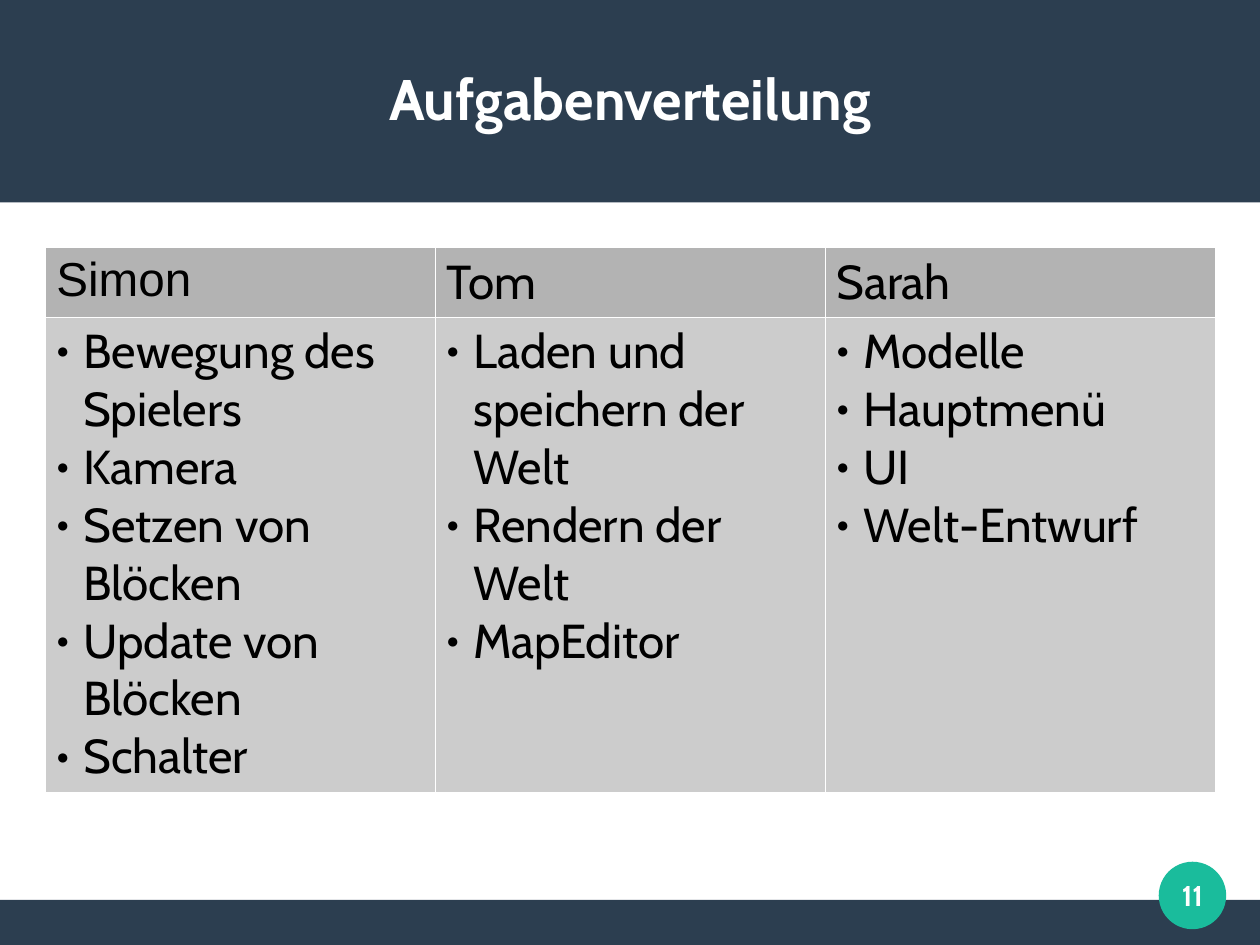
from dataclasses import dataclass

from lxml import etree
from pptx import Presentation
from pptx.dml.color import RGBColor
from pptx.enum.shapes import MSO_SHAPE
from pptx.enum.text import MSO_ANCHOR, PP_ALIGN
from pptx.oxml.ns import qn
from pptx.util import Cm, Pt

RECTANGLE, OVAL = MSO_SHAPE.RECTANGLE, MSO_SHAPE.OVAL
MIDDLE, CENTER = MSO_ANCHOR.MIDDLE, PP_ALIGN.CENTER

# Lengths are in centimetres.
SLIDE_W, SLIDE_H = 28, 21
MARGIN = 1
CONTENT_W = SLIDE_W - 2 * MARGIN
TABLE_TOP = 5.5
ROW_HEIGHTS = (1.45, 9.7)
BULLET_INDENT = 0.6
BORDER_PT = 0.06

NAVY, TEAL, WHITE, BLACK = "2C3E50", "1ABC9C", "FFFFFF", "000000"
HEADER_GREY, BODY_GREY = "B3B3B3", "CCCCCC"
TEXT_FONT = {"name": "Cabin", "size": Pt(30), "bold": False}


@dataclass
class Area:
    left: float
    top: float
    width: float
    height: float

    def emu(self) -> list[int]:
        return [Cm(v) for v in (self.left, self.top, self.width, self.height)]


@dataclass
class Panel:
    kind: int
    area: Area
    color: str


@dataclass
class Label:
    text: str
    area: Area
    size: float


@dataclass
class Member:
    name: str
    tasks: list[str]
    name_font: str = "Cabin"


PANELS = [
    Panel(RECTANGLE, Area(0, SLIDE_H - MARGIN, SLIDE_W, MARGIN), NAVY),
    Panel(RECTANGLE, Area(0, 0, SLIDE_W, 4.5), NAVY),
    Panel(OVAL, Area(25.75, 19.15, 1.5, 1.5), TEAL),
]
LABELS = [
    Label("Aufgabenverteilung", Area(MARGIN, 0.84, CONTENT_W, 2.66), 36),
    Label("11", Area(25.5, 18.9, 2, 2), 18),
]
MEMBERS = [
    Member("Simon", ["Bewegung des Spielers", "Kamera", "Setzen von Blöcken",
                     "Update von Blöcken", "Schalter"], "Arial"),
    Member("Tom", ["Laden und speichern der Welt", "Rendern der Welt", "MapEditor"]),
    Member("Sarah", ["Modelle", "Hauptmenü", "UI", "Welt-Entwurf"]),
]


def paint(target, color: str) -> None:
    """Give a fill or a font a solid colour."""
    if hasattr(target, "solid"):
        target.solid()
        target.fore_color.rgb = RGBColor.from_string(color)
    else:
        target.color.rgb = RGBColor.from_string(color)


def set_font(font, color: str, values: dict) -> None:
    for key, value in values.items():
        setattr(font, key, value)
    paint(font, color)


def add_panel(slide, panel: Panel) -> None:
    shape = slide.shapes.add_shape(panel.kind, *panel.area.emu())
    shape.shadow.inherit = False
    shape.line.fill.background()
    paint(shape.fill, panel.color)


def add_label(slide, label: Label) -> None:
    frame = slide.shapes.add_textbox(*label.area.emu()).text_frame
    settings = {"word_wrap": True, "vertical_anchor": MIDDLE, "margin_left": 0,
                "margin_top": 0, "margin_right": 0, "margin_bottom": 0}
    for key, value in settings.items():
        setattr(frame, key, value)
    paragraph = frame.paragraphs[0]
    paragraph.alignment = CENTER
    run = paragraph.add_run()
    run.text = label.text
    set_font(run.font, WHITE, {"name": "Cabin", "size": Pt(label.size), "bold": True})


def add_bullet(paragraph) -> None:
    properties = paragraph._p.get_or_add_pPr()
    properties.set("marL", str(Cm(BULLET_INDENT)))
    properties.set("indent", str(-Cm(BULLET_INDENT)))
    bullet_color = etree.SubElement(properties, qn("a:buClr"))
    etree.SubElement(bullet_color, qn("a:srgbClr"), val=BLACK)
    etree.SubElement(properties, qn("a:buSzPct"), val="45000")
    etree.SubElement(properties, qn("a:buFont"), typeface="Arial")
    etree.SubElement(properties, qn("a:buChar"), char="●")


def add_borders(cell) -> None:
    properties = cell._tc.get_or_add_tcPr()
    for position, side in enumerate(("a:lnL", "a:lnR", "a:lnT", "a:lnB")):
        border = etree.Element(qn(side), w=str(Pt(BORDER_PT)))
        fill = etree.SubElement(border, qn("a:solidFill"))
        etree.SubElement(fill, qn("a:srgbClr"), val=WHITE)
        properties.insert(position, border)


def fill_cell(cell, lines: list[str], color: str, font_name: str, bulleted: bool) -> None:
    paint(cell.fill, color)
    add_borders(cell)
    frame = cell.text_frame
    for index, line in enumerate(lines):
        paragraph = frame.add_paragraph() if index else frame.paragraphs[0]
        if bulleted:
            add_bullet(paragraph)
        run = paragraph.add_run()
        run.text = line
        set_font(run.font, BLACK, TEXT_FONT | {"name": font_name})


def add_task_table(slide, members: list[Member]) -> None:
    area = Area(MARGIN, TABLE_TOP, CONTENT_W, sum(ROW_HEIGHTS))
    table = slide.shapes.add_table(len(ROW_HEIGHTS), len(members), *area.emu()).table
    table.first_row = table.horz_banding = False
    for row, height in zip(table.rows, ROW_HEIGHTS):
        row.height = Cm(height)
    for column, member in enumerate(members):
        table.columns[column].width = Cm(CONTENT_W / len(members))
        fill_cell(table.cell(0, column), [member.name], HEADER_GREY, member.name_font, False)
        fill_cell(table.cell(1, column), member.tasks, BODY_GREY, "Cabin", True)


def main() -> None:
    deck = Presentation()
    deck.slide_width, deck.slide_height = Cm(SLIDE_W), Cm(SLIDE_H)
    slide = deck.slides.add_slide(deck.slide_layouts[6])
    paint(slide.background.fill, WHITE)
    for panel in PANELS:
        add_panel(slide, panel)
    add_task_table(slide, MEMBERS)
    for label in LABELS:
        add_label(slide, label)
    deck.save("out.pptx")


if __name__ == "__main__":
    main()
